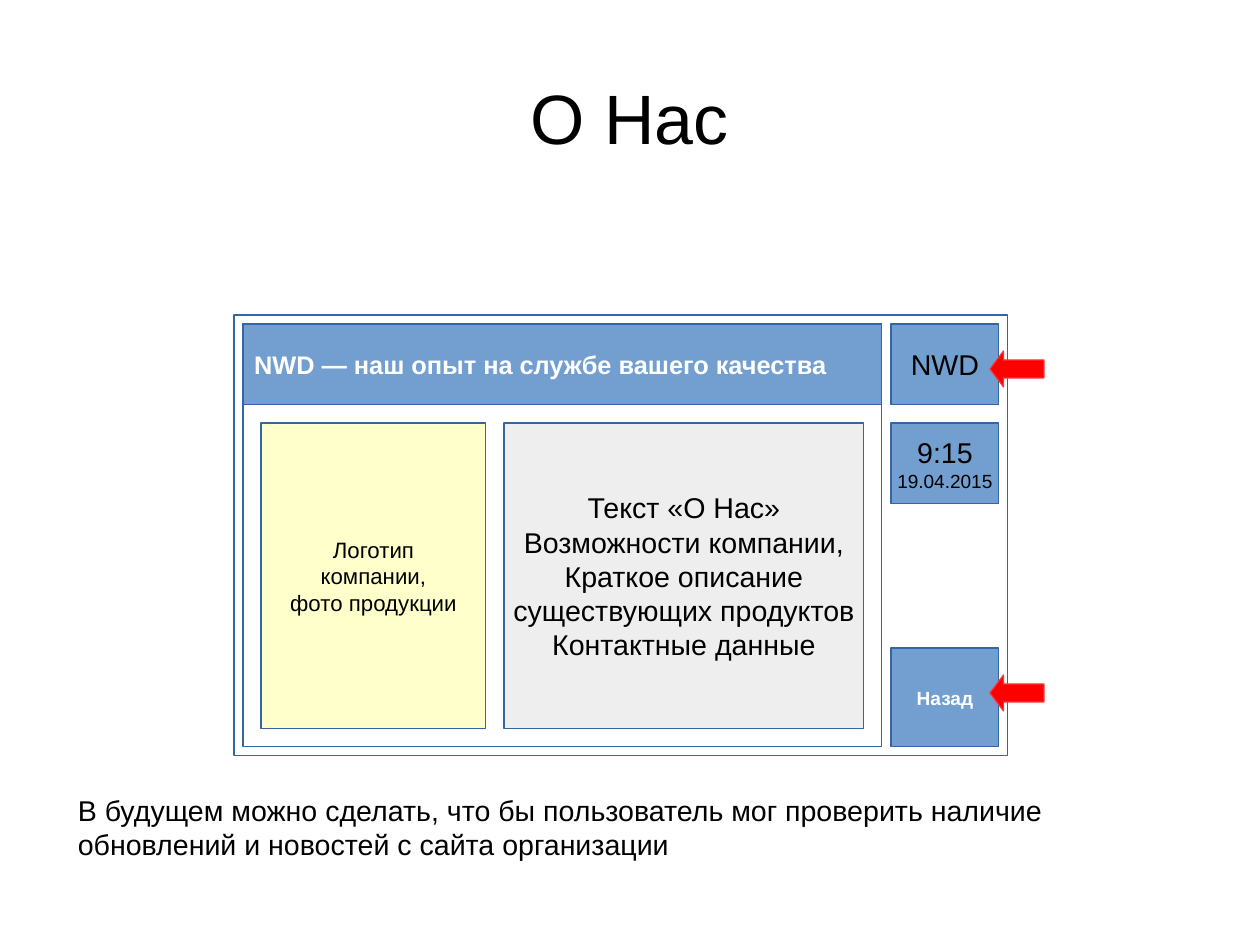
from pptx import Presentation
from pptx.dml.color import RGBColor
from pptx.enum.shapes import MSO_SHAPE
from pptx.enum.text import MSO_ANCHOR, MSO_AUTO_SIZE, PP_ALIGN
from pptx.util import Mm, Pt

BLACK = RGBColor(0x00, 0x00, 0x00)
WHITE = RGBColor(0xFF, 0xFF, 0xFF)
BLUE = RGBColor(0x72, 0x9F, 0xCF)
OUTLINE = RGBColor(0x34, 0x65, 0xA4)
YELLOW = RGBColor(0xFF, 0xFF, 0xCC)
GREY = RGBColor(0xEE, 0xEE, 0xEE)
RED = RGBColor(0xFF, 0x00, 0x00)
ARROW_OUTLINE = RGBColor(0xFF, 0x33, 0x33)

# The slide is a grid of 2 mm cells; boxes are (left, top, width, height) in cells.
CELL = Mm(2)
COLUMNS, ROWS = 140, 105
TOP_ROW, CONTENT_ROW, BACK_ROW = 36, 47, 72
PANEL_COLUMN, PANEL_WIDTH = 27, 71
BUTTON_COLUMN, BUTTON_WIDTH = 99, 12
BAR_HEIGHT, CONTENT_HEIGHT = 9, 34

TITLE = "О Нас"
TITLE_BOX = (7, 4.2, 126, 17.5)
NOTE = ("В будущем можно сделать, что бы пользователь мог проверить наличие "
        "обновлений и новостей с сайта организации")
NOTE_BOX = (7.4, 87.5, 118.6, 8.4)

# Each mock-up part: box, fill, lines of (text, size), font colour, bold
SCREEN_PARTS = [
    ((26, 35, 86, 49), WHITE, [], BLACK, False),
    ((BUTTON_COLUMN, TOP_ROW, BUTTON_WIDTH, BAR_HEIGHT), BLUE,
     [("NWD", 18)], BLACK, False),
    ((BUTTON_COLUMN, CONTENT_ROW, BUTTON_WIDTH, BAR_HEIGHT), BLUE,
     [("9:15", 18), ("19.04.2015", 12)], BLACK, False),
    ((BUTTON_COLUMN, BACK_ROW, BUTTON_WIDTH, 11), BLUE,
     [("Назад", 12)], WHITE, True),
    ((PANEL_COLUMN, TOP_ROW, PANEL_WIDTH, 47), WHITE, [], BLACK, False),
    ((29, CONTENT_ROW, 25, CONTENT_HEIGHT), YELLOW,
     [("Логотип", 14), ("компании,", 14), ("фото продукции", 14)], BLACK, False),
    ((56, CONTENT_ROW, 40, CONTENT_HEIGHT), GREY,
     [("Текст «О Нас»", 18), ("Возможности компании,", 18),
      ("Краткое описание", 18), ("существующих продуктов", 18),
      ("Контактные данные", 18)], BLACK, False),
]
BANNER_BOX = (PANEL_COLUMN, TOP_ROW, PANEL_WIDTH, BAR_HEIGHT)
BANNER_LINES = [("NWD — наш опыт на службе вашего качества", 16)]
ARROW_ROWS = [TOP_ROW + 3, BACK_ROW + 3]


def to_lengths(box):
    """Turn a box in grid cells into slide lengths."""
    return [round(cells * CELL) for cells in box]


def write_lines(frame, lines, color, bold=False, align=PP_ALIGN.CENTER):
    """Write one paragraph for each (text, size) line."""
    frame.text = "\n".join(text for text, size in lines)
    for paragraph, (text, size) in zip(frame.paragraphs, lines):
        paragraph.alignment = align
        paragraph.font.name = "Arial"
        paragraph.font.size = Pt(size)
        paragraph.font.bold = bold
        paragraph.font.color.rgb = color


def add_figure(slide, kind, box, fill, outline):
    """Add a filled preset shape with a hairline outline."""
    shape = slide.shapes.add_shape(kind, *to_lengths(box))
    shape.shadow.inherit = False
    shape.fill.solid()
    shape.fill.fore_color.rgb = fill
    shape.line.color.rgb = outline
    shape.line.width = Pt(0)
    return shape


def add_part(slide, box, fill, lines, color, bold,
             align=PP_ALIGN.CENTER, wrap=False):
    """Add one rectangle of the mock-up screen with its text."""
    shape = add_figure(slide, MSO_SHAPE.RECTANGLE, box, fill, OUTLINE)
    if lines:
        frame = shape.text_frame
        frame.word_wrap = wrap
        frame.vertical_anchor = MSO_ANCHOR.MIDDLE
        write_lines(frame, lines, color, bold, align)


def add_title(slide):
    """Place and fill the title placeholder."""
    title = slide.shapes.title
    title.left, title.top, title.width, title.height = to_lengths(TITLE_BOX)
    frame = title.text_frame
    frame.auto_size = MSO_AUTO_SIZE.NONE
    frame.vertical_anchor = MSO_ANCHOR.MIDDLE
    frame.margin_left = frame.margin_right = 0
    frame.margin_top = frame.margin_bottom = 0
    write_lines(frame, [(TITLE, 44)], BLACK)


def add_note(slide):
    """Add the remark below the screen."""
    frame = slide.shapes.add_textbox(*to_lengths(NOTE_BOX)).text_frame
    frame.word_wrap = True
    write_lines(frame, [(NOTE, 18)], BLACK, align=PP_ALIGN.LEFT)


presentation = Presentation()
presentation.slide_width = COLUMNS * CELL
presentation.slide_height = ROWS * CELL
slide = presentation.slides.add_slide(presentation.slide_layouts.get_by_name("Title Only"))

add_title(slide)
for part in SCREEN_PARTS:
    add_part(slide, *part)
add_part(slide, BANNER_BOX, BLUE, BANNER_LINES, WHITE, True,
         align=PP_ALIGN.LEFT, wrap=True)
add_note(slide)
for row in ARROW_ROWS:
    arrow = add_figure(slide, MSO_SHAPE.LEFT_ARROW, (110, row, 6, 4), RED, ARROW_OUTLINE)
    arrow.adjustments[0] = 0.5
    arrow.adjustments[1] = 0.375

presentation.save("out.pptx")
